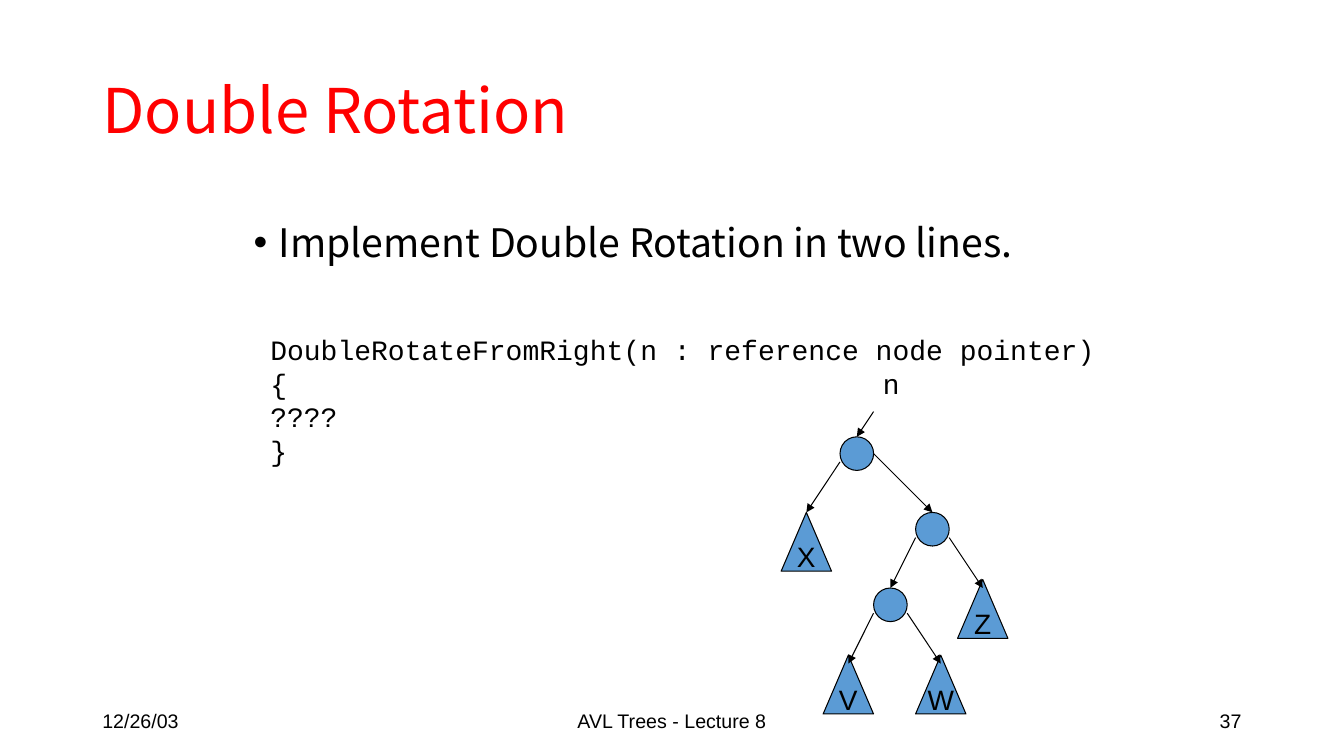
"""Build the Double Rotation slide with its code stub and AVL tree."""
from lxml.etree import SubElement
from pptx import Presentation
from pptx.dml.color import RGBColor
from pptx.enum.shapes import MSO_CONNECTOR as Line, MSO_SHAPE as Kind
from pptx.enum.text import MSO_ANCHOR as Anchor, MSO_AUTO_SIZE as Fit, PP_ALIGN as Align
from pptx.oxml.ns import qn
from pptx.util import Pt

BLACK = RGBColor(0, 0, 0)
RED = RGBColor(0xFF, 0, 0)
BLUE = RGBColor(0x5B, 0x9B, 0xD5)
SANS, MONO, HEAD = "Arial", "Courier New", "Noto Sans CJK KR"

TITLE = "Double Rotation"
TASK = "Implement Double Rotation in two lines."
CODE = [["DoubleRotateFromRight(n : reference node pointer)", "{"], ["????"], ["}"]]
FOOT = [
    ("12/26/03", 66, 216, Align.LEFT),
    ("AVL Trees - Lecture 8", 318, 324, Align.CENTER),
    ("37", 678, 216, Align.RIGHT),
]
NODES = [(600, 312), (654, 366), (624, 420)]
LEAVES = [("X", 558, 366), ("V", 588, 468), ("W", 654, 468), ("Z", 684, 414)]
LINKS = [
    (624, 294, 612, 312),
    (600, 330, 576, 366),
    (624, 324, 666, 366),
    (654, 384, 636, 420),
    (678, 384, 702, 420),
    (624, 438, 606, 474),
    (648, 438, 672, 474),
]
DISC, WIDE, TALL = 24, 36, 42


def place(shape, *box):
    """Move and size a shape."""
    shape.left, shape.top, shape.width, shape.height = map(Pt, box)


def write(para, text, size, face, color=BLACK):
    """Add one formatted run."""
    run = para.add_run()
    run.text = text
    font = run.font
    font.size, font.name, font.color.rgb = Pt(size), face, color
    for tag in ("a:ea", "a:cs"):
        SubElement(font._element, qn(tag), typeface=face)


def label(slide, box, lines, size, face, align=Align.LEFT, grow=True):
    """Add a text box; each paragraph is a list of broken lines."""
    frame = slide.shapes.add_textbox(*map(Pt, box)).text_frame
    frame.word_wrap = not grow
    frame.auto_size = Fit.SHAPE_TO_FIT_TEXT if grow else Fit.NONE
    frame.vertical_anchor = Anchor.TOP if grow else Anchor.MIDDLE
    for i, parts in enumerate(lines):
        para = frame.add_paragraph() if i else frame.paragraphs[0]
        para.alignment = align
        for j, part in enumerate(parts):
            if j:
                para.add_line_break()
            write(para, part, size, face)


def solid(slide, kind, *box):
    """Add a blue shape with a thin black outline."""
    shape = slide.shapes.add_shape(kind, *map(Pt, box))
    shape.shadow.inherit = False
    shape.fill.solid()
    shape.fill.fore_color.rgb = BLUE
    shape.line.color.rgb = BLACK
    shape.line.width = Pt(0.75)
    return shape


def arrow(slide, *ends):
    """Add a thin black arrow."""
    link = slide.shapes.add_connector(Line.STRAIGHT, *map(Pt, ends))
    link.line.color.rgb = BLACK
    link.line.width = Pt(0.75)
    SubElement(link.line._get_or_add_ln(), qn("a:tailEnd"), type="triangle")
    SubElement(link._element.spPr, qn("a:effectLst"))


def main():
    """Lay out the slide and save it."""
    deck = Presentation()
    deck.slide_width, deck.slide_height = Pt(960), Pt(540)
    slide = deck.slides.add_slide(deck.slide_layouts[1])

    title, body = slide.placeholders
    place(title, 66, 28.8, 828, 104.4)
    title.text_frame.vertical_anchor = Anchor.MIDDLE
    para = title.text_frame.paragraphs[0]
    para.alignment, para.line_spacing = Align.LEFT, 0.9
    write(para, TITLE, 44, HEAD, RED)

    place(body, 174, 156, 612, 54)
    para = body.text_frame.paragraphs[0]
    para.line_spacing, para.space_before = 0.9, Pt(0)
    props = para._p.get_or_add_pPr()
    props.set("marL", str(Pt(18)))
    props.set("indent", str(Pt(-18)))
    SubElement(props, qn("a:buFont"), typeface=SANS)
    SubElement(props, qn("a:buChar"), char="•")
    write(para, TASK, 28, HEAD)

    for text, left, width, align in FOOT:
        label(slide, (left, 500.4, width, 28.8), [[text]], 14, SANS, align, False)
    label(slide, (186, 234, 626, 79), CODE, 20, MONO)
    label(slide, (624, 258, 26, 31), [["n"]], 20, SANS)

    for x, y in NODES:
        solid(slide, Kind.OVAL, x, y, DISC, DISC)
    for name, x, y in LEAVES:
        frame = solid(slide, Kind.ISOSCELES_TRIANGLE, x, y, WIDE, TALL).text_frame
        frame.word_wrap = False
        frame.vertical_anchor = Anchor.MIDDLE
        frame.paragraphs[0].alignment = Align.CENTER
        write(frame.paragraphs[0], name, 20, SANS)
    for ends in LINKS:
        arrow(slide, *ends)

    deck.save("out.pptx")


if __name__ == "__main__":
    main()
